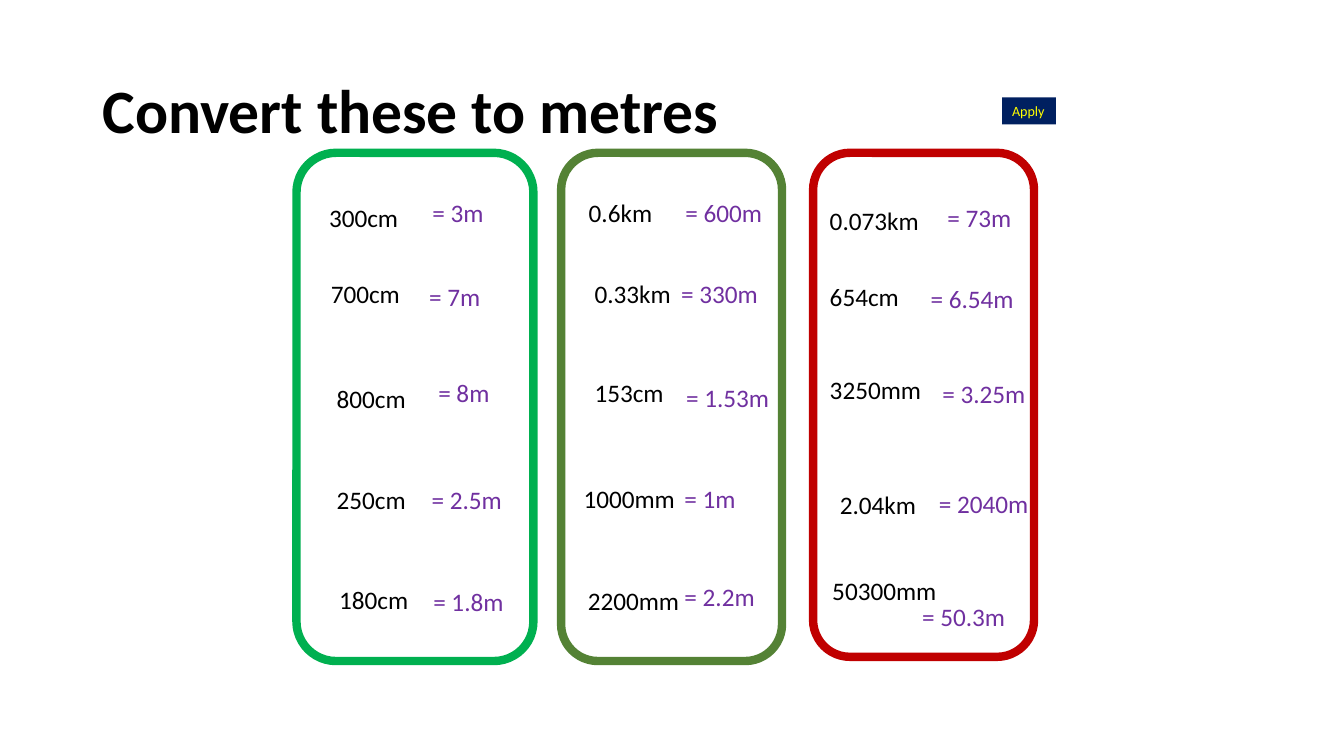
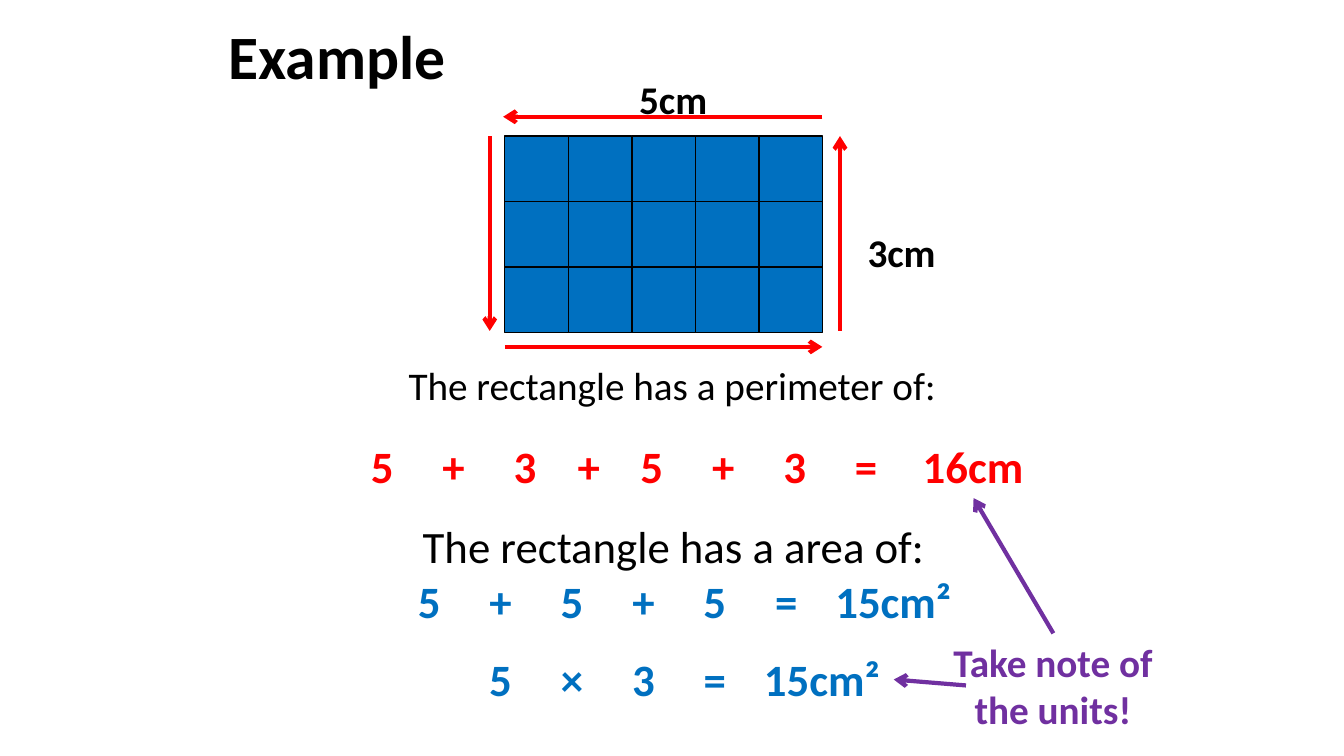
"""Build two maths slides: converting lengths to metres, then perimeter and area."""
from lxml.etree import SubElement
from pptx import Presentation
from pptx.dml.color import RGBColor as RGB
from pptx.enum.shapes import MSO_CONNECTOR as CONN, MSO_SHAPE as SHAPE
from pptx.enum.text import MSO_ANCHOR as ANCHOR, MSO_AUTO_SIZE as AUTO, PP_ALIGN as ALIGN
from pptx.oxml.ns import qn
from pptx.util import Inches, Pt

BLACK = RGB(0x00, 0x00, 0x00)
WHITE = RGB(0xFF, 0xFF, 0xFF)
GREEN = RGB(0x00, 0xB0, 0x50)
OLIVE = RGB(0x54, 0x82, 0x35)
CRIMSON = RGB(0xC0, 0x00, 0x00)
RED = RGB(0xFF, 0x00, 0x00)
BLUE = RGB(0x00, 0x70, 0xC0)
NAVY = RGB(0x00, 0x20, 0x60)
YELLOW = RGB(0xFF, 0xFF, 0x00)
PURPLE = RGB(0x70, 0x30, 0xA0)
FONT = "Calibri"

prs = Presentation()
prs.slide_width, prs.slide_height = Inches(13.33), Inches(7.5)
COLS, ROWS = 160, 90
COL, ROW = prs.slide_width / COLS, prs.slide_height / ROWS


def grid(x, y, w, h):
    return int(x * COL), int(y * ROW), int(w * COL), int(h * ROW)


def write(sp, text, size, color, bold=False, align=ALIGN.LEFT, wrap=True, spacing=None):
    tf = sp.text_frame
    tf.word_wrap = wrap
    tf.auto_size = AUTO.NONE if wrap else AUTO.SHAPE_TO_FIT_TEXT
    p = tf.paragraphs[0]
    p.text = text
    p.alignment = align
    p.line_spacing = spacing
    p.font.name, p.font.size, p.font.bold = FONT, Pt(size), bold
    p.font.color.rgb = color


slides = []
for title, place in (
    ("Convert these to metres", (11, 4.8, 138, 17.4)),
    ("Example", (26, -0.4, 108, 15)),
):
    s = prs.slides.add_slide(prs.slide_layouts[5])
    sp = s.shapes.title
    sp.left, sp.top, sp.width, sp.height = grid(*place)
    write(sp, title, 44, BLACK, bold=True, spacing=0.9)
    sp.text_frame.vertical_anchor = ANCHOR.MIDDLE
    slides.append(s)
convert, example = slides

for color, x, w, h in ((GREEN, 35.3, 28.2, 60.5), (OLIVE, 66.8, 26.3, 60.5), (CRIMSON, 96.8, 26.3, 60)):
    sp = convert.shapes.add_shape(SHAPE.ROUNDED_RECTANGLE, *grid(x, 18.2, w, h))
    sp.shadow.inherit = False
    sp.fill.solid()
    sp.fill.fore_color.rgb = WHITE
    sp.line.color.rgb, sp.line.width = color, Pt(6)

sp = convert.shapes.add_textbox(*grid(119.3, 11.6, 6.4, 3.2))
sp.fill.solid()
sp.fill.fore_color.rgb = NAVY
write(sp, "Apply", 10.1, YELLOW, wrap=False)

LENGTHS = (
    ("300cm", 38, 23.5, 10.7), ("= 3m", 50.3, 22.9, 8.6),
    ("700cm", 38.2, 32.6, 10.7), ("= 7m", 49.9, 32.9, 8.6),
    ("800cm", 38.9, 45, 10.7), ("= 8m", 51, 44.3, 8.6),
    ("250cm", 38.9, 57.1, 10.7), ("= 2.5m", 50.2, 57.1, 10.9),
    ("180cm", 39.2, 69, 10.7), ("= 1.8m", 50.4, 69.2, 10.9),
    ("0.6km", 68.9, 22.9, 10.1), ("= 600m", 80.4, 22.9, 11.6),
    ("0.33km", 69.6, 32.6, 11.5), ("= 330m", 79.9, 32.6, 11.6),
    ("153cm", 69.6, 44.3, 10.7), ("= 1.53m", 80.5, 44.9, 12.4),
    ("1000mm", 68.3, 57, 13.4), ("= 1m", 80.3, 57, 8.6),
    ("2200mm", 68.8, 69.1, 13.4), ("= 2.2m", 80.3, 68.6, 10.9),
    ("0.073km", 97.6, 23.9, 13.1), ("= 73m", 111.6, 23.5, 10.1),
    ("654cm", 97.6, 32.9, 10.7), ("= 6.54m", 109.6, 33.1, 12.4),
    ("3250mm", 97.6, 44, 13.4), ("= 3.25m", 111, 44.4, 12.4),
    ("2.04km", 98.8, 57.7, 11.5), ("= 2040m", 110.6, 57.5, 13.2),
    ("50300mm", 97.9, 67.9, 15), ("= 50.3m", 108.6, 71, 12.4),
)
for text, x, y, w in LENGTHS:
    sp = convert.shapes.add_textbox(*grid(x, y, w, 4.8))
    write(sp, text, 18, PURPLE if text.startswith("=") else BLACK, wrap=False)

SQUARE_W, SQUARE_H = 7.56, 7.8
for row in range(3):
    for col in range(5):
        place = grid(60.1 + col * SQUARE_W, 16.2 + row * SQUARE_H, SQUARE_W, SQUARE_H)
        sp = example.shapes.add_shape(SHAPE.RECTANGLE, *place)
        sp.shadow.inherit = False
        sp.fill.solid()
        sp.fill.fore_color.rgb = BLUE
        sp.line.color.rgb, sp.line.width = BLACK, Pt(1)

for text, size, color, bold, spacing, place in (
    ("The rectangle has a perimeter of:", 28, BLACK, False, 0.9, (26, 43.1, 108, 9.5)),
    ("The rectangle has a area of:", 32, BLACK, False, None, (26.2, 61.1, 108, 9.5)),
    ("Take note of the units!", 28, PURPLE, True, None, (111.2, 75.4, 28.3, 12.5)),
):
    sp = example.shapes.add_textbox(*grid(*place))
    write(sp, text, size, color, bold, ALIGN.CENTER, spacing=spacing)

for text, x, y in (("3cm", 102.1, 26.6), ("5cm", 74.9, 8.4)):
    sp = example.shapes.add_textbox(*grid(x, y, 10.7, 6.8))
    write(sp, text, 28, BLACK, bold=True, wrap=False)

TERM_STEP = 8.5
for sums, x, y, color in (
    ("5 + 3", 41.3, 51.6, RED),
    ("+", 65.9, 51.6, RED),
    ("5 + 3 = 16cm", 73.4, 51.6, RED),
    ("5 + 5 + 5 = 15cm²", 46.9, 67.7, BLUE),
    ("5 × 3 = 15cm²", 55.4, 77, BLUE),
):
    for i, term in enumerate(sums.split()):
        w = 16.9 if "cm" in term else 8.4
        sp = example.shapes.add_textbox(*grid(x + i * TERM_STEP, y, w, 7.7))
        write(sp, term, 32, color, bold=True, align=ALIGN.CENTER)

for color, start, end in (
    (RED, (60.1, 41.3), (97.9, 41.3)),
    (RED, (97.9, 13.9), (59.9, 13.9)),
    (RED, (100, 39.4), (100, 16.2)),
    (RED, (58.3, 16.2), (58.3, 39.4)),
    (PURPLE, (125.4, 75.4), (115.9, 59.3)),
    (PURPLE, (115, 81.6), (106.4, 80.9)),
):
    arrow = example.shapes.add_connector(CONN.STRAIGHT, *grid(*start, *end))
    arrow.line.color.rgb, arrow.line.width = color, Pt(3)
    sp_pr = arrow._element.spPr
    SubElement(sp_pr.find(qn("a:ln")), qn("a:tailEnd"), type="arrow")
    SubElement(sp_pr, qn("a:effectLst"))

prs.save("out.pptx")
